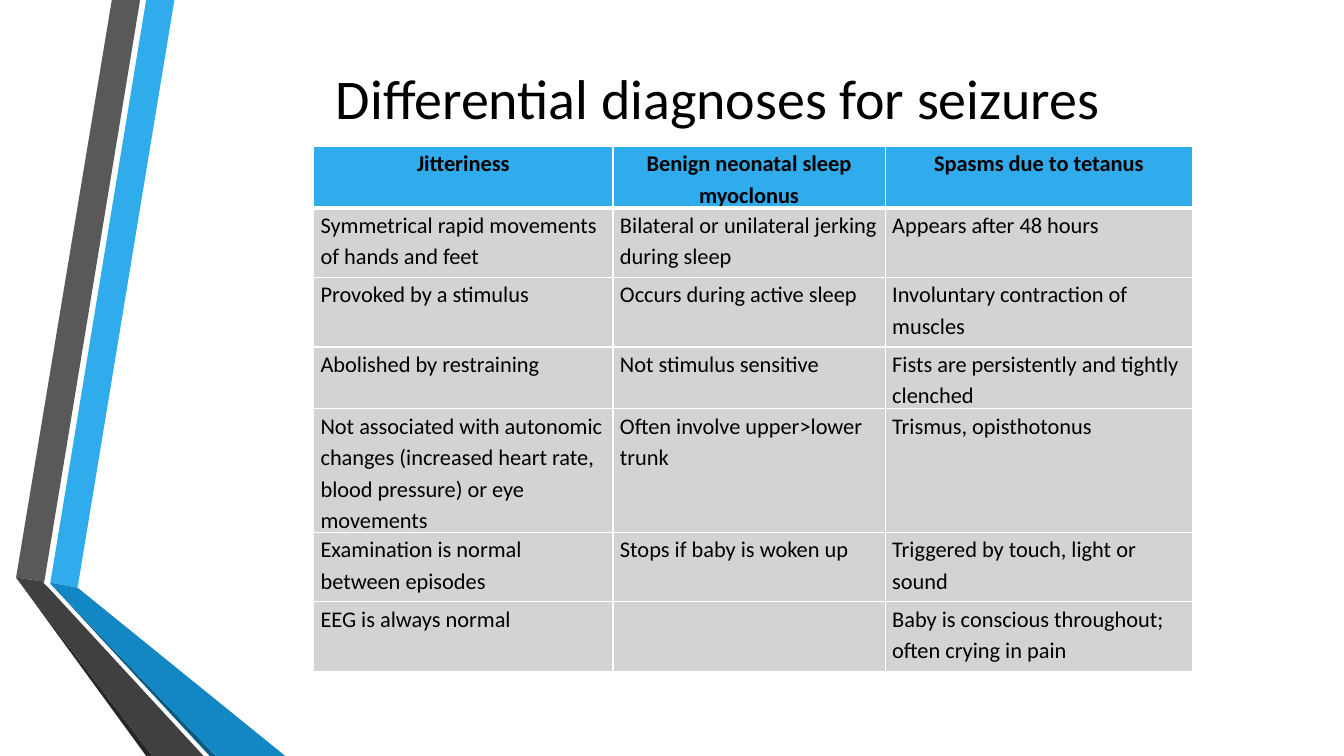
from dataclasses import dataclass

from lxml import etree
from pptx import Presentation
from pptx.dml.color import RGBColor
from pptx.enum import text
from pptx.oxml import ns
from pptx import util as u

PX = 9144


@dataclass(frozen=True)
class Theme:
    font: str = "Calibri"
    title_size: int = 40
    table_size: int = 16
    ink: str = "000000"
    header: str = "30ACEC"
    body: str = "D3D3D3"
    rule: str = "FFFFFF"
    blue: str = "30ACEC"
    blue_fold: str = "1287C3"
    blue_shade: str = "0C5A82"
    gray: str = "595959"
    gray_fold: str = "404040"
    gray_shade: str = "262626"


THEME = Theme()

RIBBONS = [
    (THEME.blue, [(50, 578), (77, 583), (173, 0), (145, 0)]),
    (THEME.gray, [(139, 0), (111, 0), (16, 573), (44, 577)]),
    (THEME.gray_shade, [(16, 573), (145, 750), (151, 750)]),
    (THEME.blue_shade, [(50, 579), (208, 750), (214, 750)]),
    (THEME.blue_fold, [(50, 578), (50, 579), (214, 750), (283, 750), (77, 583)]),
    (THEME.gray_fold, [(202, 750), (48, 583), (43, 578), (44, 577), (16, 573), (151, 750)]),
]

COLUMNS = [297, 270, 305]
ROWS = [
    (46, ["Jitteriness", "Benign neonatal sleep myoclonus", "Spasms due to tetanus"]),
    (69, ["Symmetrical rapid movements of hands and feet",
          "Bilateral or unilateral jerking during sleep",
          "Appears after 48 hours"]),
    (69, ["Provoked by a stimulus", "Occurs during active sleep",
          "Involuntary contraction of muscles"]),
    (46, ["Abolished by restraining", "Not stimulus sensitive",
          "Fists are persistently and tightly clenched"]),
    (116, ["Not associated with autonomic changes (increased heart rate, "
           "blood pressure) or eye movements",
           "Often involve upper>lower trunk", "Trismus, opisthotonus"]),
    (69, ["Examination is normal between episodes", "Stops if baby is woken up",
          "Triggered by touch, light or sound"]),
    (69, ["EEG is always normal", "",
          "Baby is conscious throughout; often crying in pain"]),
]


def emu(*lengths):
    return [u.Emu(length * PX) for length in lengths]


def add_run(paragraph, words, size, bold=False):
    run = paragraph.add_run()
    run.text = words
    run.font.name = THEME.font
    run.font.size = u.Pt(size)
    run.font.bold = bold
    run.font.color.rgb = RGBColor.from_string(THEME.ink)


def draw_ribbons(slide, left, top):
    for colour, corners in RIBBONS:
        outline = slide.shapes.build_freeform(*corners[0], scale=PX)
        outline.add_line_segments(corners[1:], close=True)
        ribbon = outline.convert_to_shape(*emu(left, top))
        ribbon.shadow.inherit = False
        ribbon.fill.solid()
        ribbon.fill.fore_color.rgb = RGBColor.from_string(colour)
        ribbon.line.fill.background()


def draw_title(slide, left, top, width, height):
    frame = slide.shapes.add_textbox(*emu(left, top, width, height)).text_frame
    frame.word_wrap = True
    frame.vertical_anchor = text.MSO_ANCHOR.MIDDLE
    heading = frame.paragraphs[0]
    heading.alignment = text.PP_ALIGN.CENTER
    add_run(heading, "Differential diagnoses for seizures", THEME.title_size)


def rule_cell(cell, bottom):
    properties = cell._tc.get_or_add_tcPr()
    for side, weight in (("L", 1), ("R", 1), ("T", 1), ("B", bottom)):
        edge = etree.SubElement(properties, ns.qn(f"a:ln{side}"), w=str(u.Pt(weight)))
        fill = etree.SubElement(edge, ns.qn("a:solidFill"))
        etree.SubElement(fill, ns.qn("a:srgbClr"), val=THEME.rule)


def fill_cell(cell, words, is_header):
    rule_cell(cell, 3 if is_header else 1)
    cell.fill.solid()
    cell.fill.fore_color.rgb = RGBColor.from_string(THEME.header if is_header else THEME.body)
    cell.margin_left, cell.margin_right, cell.margin_top, cell.margin_bottom = emu(7, 7, 0, 0)
    finding = cell.text_frame.paragraphs[0]
    finding.line_spacing = 1.15
    finding.alignment = text.PP_ALIGN.CENTER if is_header else text.PP_ALIGN.LEFT
    if words:
        add_run(finding, words, THEME.table_size, is_header)


def draw_diagnoses(slide, left, top):
    box = emu(left, top, sum(COLUMNS), sum(height for height, _ in ROWS))
    diagnoses = slide.shapes.add_table(len(ROWS), len(COLUMNS), *box).table
    for column, width in zip(diagnoses.columns, emu(*COLUMNS)):
        column.width = width
    for index, (height, findings) in enumerate(ROWS):
        row = diagnoses.rows[index]
        row.height = u.Emu(height * PX)
        for cell, words in zip(row.cells, findings):
            fill_cell(cell, words, index == 0)


def main():
    deck = Presentation()
    deck.slide_width, deck.slide_height = emu(1333, 750)
    slide = deck.slides.add_slide(deck.slide_layouts[6])
    draw_ribbons(slide, 0, 0)
    draw_title(slide, 164, 0, 1096, 192)
    draw_diagnoses(slide, 311, 145)
    deck.save("out.pptx")


if __name__ == "__main__":
    main()
